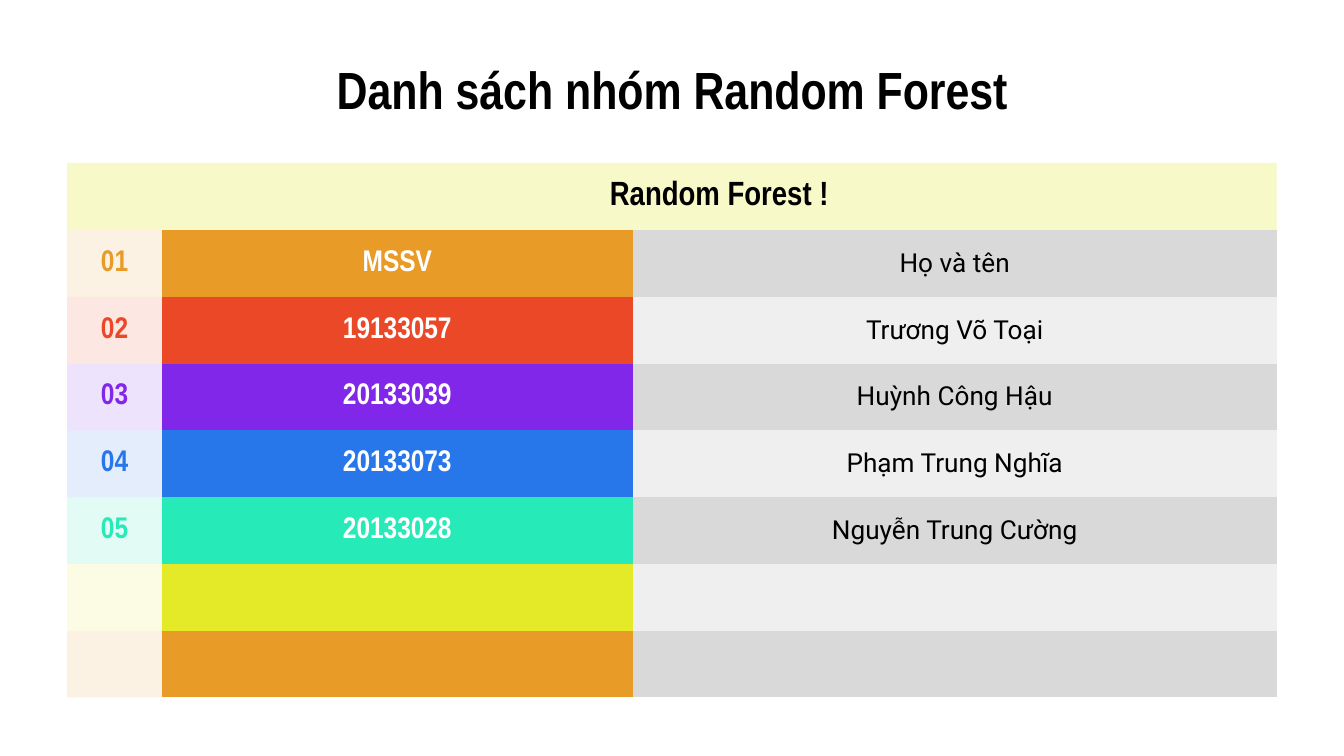
from lxml.etree import SubElement as Sub
from pptx import Presentation
from pptx.dml.color import RGBColor as Rgb
from pptx.enum.text import MSO_ANCHOR as Anchor, PP_ALIGN as Align
from pptx.oxml.ns import qn

PX = 3175
PAD = 29
LEFT, WIDE = 144, 2592
HEAD, ROW = 140, 143
COLS = (203, 1009, 1380)
PLAIN = "{2D5ABB26-0587-4C30-8999-92F81FD0307C}"
NARROW, ROBOTO = "Arial Narrow", "Roboto"

BLACK = Rgb(0x00, 0x00, 0x00)
WHITE = Rgb(0xFF, 0xFF, 0xFF)
ORANGE = Rgb(0xE9, 0x9B, 0x27)
RED = Rgb(0xEA, 0x48, 0x27)
PURPLE = Rgb(0x80, 0x27, 0xEA)
BLUE = Rgb(0x27, 0x76, 0xEA)
GREEN = Rgb(0x26, 0xEA, 0xB8)
YELLOW = Rgb(0xE4, 0xEA, 0x27)
GRAYS = (Rgb(0xD9, 0xD9, 0xD9), Rgb(0xEF, 0xEF, 0xEF))

ROWS = (
    (ORANGE, "01", "MSSV", "Họ và tên"),
    (RED, "02", "19133057", "Trương Võ Toại"),
    (PURPLE, "03", "20133039", "Huỳnh Công Hậu"),
    (BLUE, "04", "20133073", "Phạm Trung Nghĩa"),
    (GREEN, "05", "20133028", "Nguyễn Trung Cường"),
    (YELLOW, "", "", ""),
    (ORANGE, "", "", ""),
)


def px(num):
    return num * PX


def write(frame, text, size, color, face=NARROW):
    para = frame.paragraphs[0]
    para.text = text
    para.alignment = Align.CENTER
    font = para.font
    font.name = face
    font.size = size * 12700
    font.bold = face == NARROW
    font.color.rgb = color


def pad(box):
    box.margin_left = box.margin_right = px(PAD)
    box.margin_top = box.margin_bottom = px(PAD)
    box.vertical_anchor = Anchor.MIDDLE


def paint(cell, color, alpha=100):
    cell.fill.solid()
    cell.fill.fore_color.rgb = color
    if alpha < 100:
        tint = cell._tc.tcPr.find(qn("a:solidFill"))[0]
        Sub(tint, qn("a:alpha"), val=str(alpha * 1000))


def put(cell, text, size, color, fill, alpha=100, face=NARROW):
    pad(cell)
    write(cell.text_frame, text, size, color, face)
    paint(cell, fill, alpha)


def add_title(slide, text):
    box = slide.shapes.add_textbox(px(LEFT), px(130), px(WIDE), px(118))
    frame = box.text_frame
    frame.word_wrap = True
    pad(frame)
    write(frame, text, 28, BLACK)


def add_grid(slide):
    high = HEAD + ROW * len(ROWS)
    shape = slide.shapes.add_table(
        len(ROWS) + 1, len(COLS), px(LEFT), px(349), px(WIDE), px(high))
    table = shape.table
    table.first_row = table.horz_banding = False
    table._tbl.tblPr.find(qn("a:tableStyleId")).text = PLAIN
    for col, wide in zip(table.columns, COLS):
        col.width = px(wide)
    for row in table.rows:
        row.height = px(ROW)
    table.rows[0].height = px(HEAD)
    return table


def fill_grid(table):
    put(table.cell(0, 0), "", 14, BLACK, YELLOW, 25)
    head = table.cell(0, 1)
    head.merge(table.cell(0, 2))
    put(head, "Random Forest !", 18, BLACK, YELLOW, 25)
    for i, (color, num, code, name) in enumerate(ROWS):
        row = i + 1
        put(table.cell(row, 0), num, 16, color, color, 13)
        put(table.cell(row, 1), code, 16, WHITE, color)
        put(table.cell(row, 2), name, 14, BLACK, GRAYS[i % 2], face=ROBOTO)


def main():
    deck = Presentation()
    deck.slide_width, deck.slide_height = px(2880), px(1620)
    slide = deck.slides.add_slide(deck.slide_layouts[6])
    add_title(slide, "Danh sách nhóm Random Forest")
    fill_grid(add_grid(slide))
    deck.save("out.pptx")


if __name__ == "__main__":
    main()
